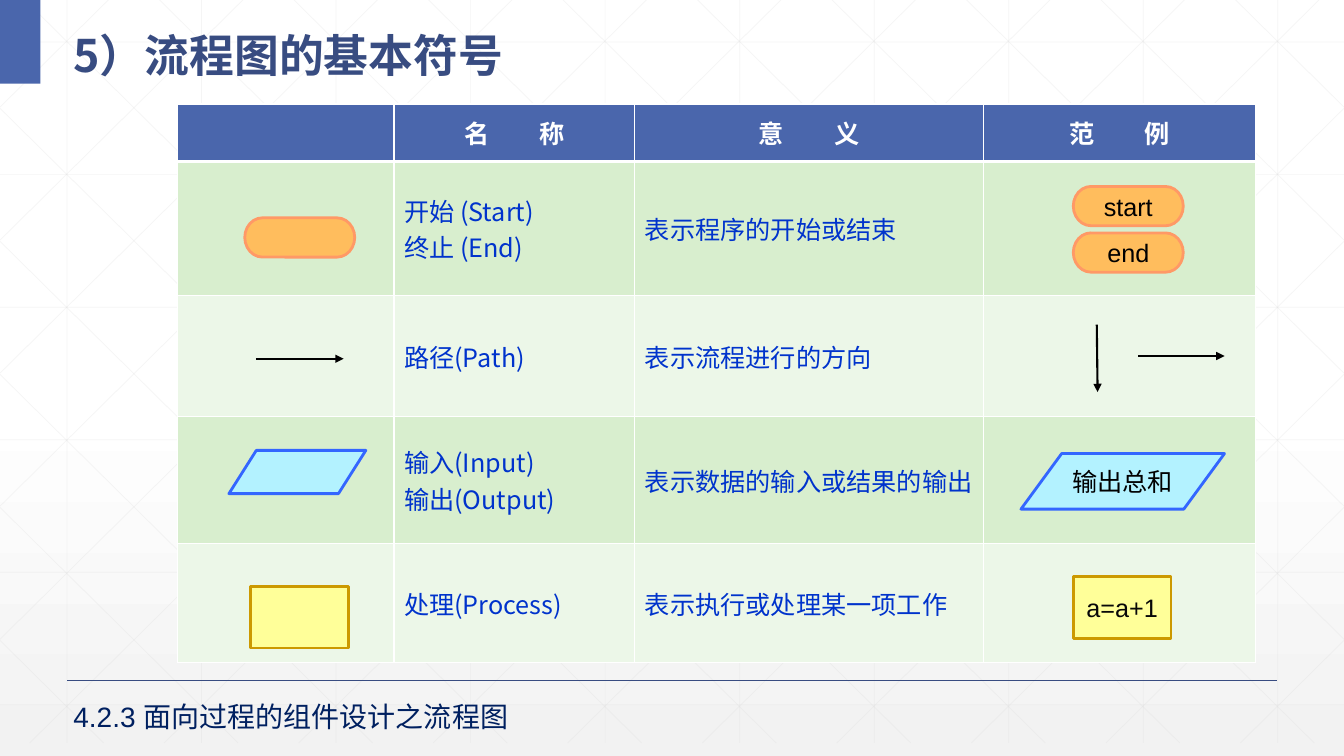
import dataclasses

import pptx
import pptx.dml.color
import pptx.enum.dml
import pptx.enum.shapes
import pptx.enum.text
import pptx.oxml
import pptx.oxml.ns
import pptx.util
from lxml import etree

Cm = pptx.util.Cm
Pt = pptx.util.Pt
qn = pptx.oxml.ns.qn
MSO_SHAPE = pptx.enum.shapes.MSO_SHAPE
PP_ALIGN = pptx.enum.text.PP_ALIGN
MIDDLE = pptx.enum.text.MSO_ANCHOR.MIDDLE


@dataclasses.dataclass(frozen=True)
class Theme:
    white: str = "FFFFFF"
    page_end: str = "F2F2F2"
    grid: str = "D9D9D9"
    accent: str = "4A66AC"
    title: str = "384C81"
    footer: str = "002060"
    ink: str = "000000"
    body: str = "0033CC"
    bands: tuple = ("D8EECE", "ECF7E8")
    cjk: str = "Noto Sans CJK SC"
    latin: str = "Arial"
    title_size: int = 32
    footer_size: int = 20
    body_size: int = 18


THEME = Theme()
WIDTH, HEIGHT = 33.87, 19.05

# Flowchart symbols: preset, fill, outline, text colour
TERMINATOR = (MSO_SHAPE.FLOWCHART_TERMINATOR, "FFBD5D", "FF9966", THEME.ink)
PROCESS = (MSO_SHAPE.FLOWCHART_PROCESS, "FFFF99", "CC9900", "080808")
DATA = (MSO_SHAPE.FLOWCHART_DATA, "B3F2FF", "3366FF", THEME.ink)

HEADERS = ("", "名称", "意义", "范例")
ROWS = (
    ("开始 (Start)\n终止 (End)", "表示程序的开始或结束"),
    ("路径(Path)", "表示流程进行的方向"),
    ("输入(Input)\v输出(Output)", "表示数据的输入或结果的输出"),
    ("处理(Process)", "表示执行或处理某一项工作"),
)
COLUMN_WIDTHS = (5.46, 6.07, 8.79, 6.86)
ROW_HEIGHTS = (1.45, 3.38, 3.05, 3.2, 3)


def rgb(value):
    return pptx.dml.color.RGBColor.from_string(value)


def style_text(frame, size, color, font, bold=False, align=None):
    for paragraph in frame.paragraphs:
        paragraph.alignment = align
        for run in paragraph.runs:
            run.font.size = Pt(size)
            run.font.bold = bold
            run.font.name = font
            run.font.color.rgb = rgb(color)
            east_asian = etree.SubElement(run.font._element, qn("a:ea"))
            east_asian.set("typeface", THEME.cjk)


def add_line(slide, start, end, color, width, opacity=None, arrow=False):
    line = slide.shapes.add_connector(
        pptx.enum.shapes.MSO_CONNECTOR.STRAIGHT, *map(Cm, start + end))
    line.line.color.rgb = rgb(color)
    line.line.width = Pt(width)
    properties = line._element.spPr
    if opacity:
        alpha = etree.SubElement(properties.find(".//" + qn("a:srgbClr")), qn("a:alpha"))
        alpha.set("val", str(opacity * 1000))
    if arrow:
        etree.SubElement(properties.find(qn("a:ln")), qn("a:tailEnd")).set("type", "triangle")
    etree.SubElement(properties, qn("a:effectLst"))


def add_arrow(slide, start, end):
    add_line(slide, start, end, THEME.ink, 1.5, arrow=True)


def add_symbol(slide, kind, box, label=""):
    preset, fill, outline, text_color = kind
    symbol = slide.shapes.add_shape(preset, *map(Cm, box))
    symbol.shadow.inherit = False
    symbol.fill.solid()
    symbol.fill.fore_color.rgb = rgb(fill)
    symbol.line.color.rgb = rgb(outline)
    symbol.line.width = Pt(2)
    if label:
        frame = symbol.text_frame
        frame.text = label
        frame.word_wrap = False
        frame.vertical_anchor = MIDDLE
        style_text(frame, THEME.body_size, text_color, THEME.latin, align=PP_ALIGN.CENTER)


def add_text(slide, box, text, size, color, font, bold=False, spacing=None):
    frame = slide.shapes.add_textbox(*map(Cm, box)).text_frame
    frame.word_wrap = True
    frame.vertical_anchor = MIDDLE
    frame.text = text
    frame.paragraphs[0].line_spacing = spacing
    style_text(frame, size, color, font, bold)


def add_background(slide):
    page = slide.background.fill
    page.gradient()
    page.gradient_angle = 270
    for stop, position, color in zip(page.gradient_stops, (0.53, 1),
                                     (THEME.white, THEME.page_end)):
        stop.position = position
        stop.color.rgb = rgb(color)


def add_grid(slide):
    bottom, step = 18.72, 3.39

    def grid_line(start, end):
        add_line(slide, start, end, THEME.grid, 0.5, opacity=25)

    for column in range(10):
        x = 1.69 + column * step
        grid_line((x, 0), (x, bottom))
    for row in range(6):
        y = 1.06 + row * 3.34
        grid_line((0, y), (WIDTH, y))
    # Diagonals cut at the page edges, each with its mirror image
    run = 18.93
    for column in range(-5, 10):
        top_x = 0.63 + column * step
        left, right = max(top_x, 0), min(top_x + run, WIDTH)
        upper, lower = ((x - top_x) * bottom / run for x in (left, right))
        grid_line((left, upper), (right, lower))
        grid_line((WIDTH - left, upper), (WIDTH - right, lower))


def fill_cell(cell, text, fill, top, bottom):
    properties = cell._tc.get_or_add_tcPr()
    for side, width in (("L", 1), ("R", 1), ("T", top), ("B", bottom)):
        border = etree.SubElement(properties, qn("a:ln" + side), w=str(Pt(width)))
        solid = etree.SubElement(border, qn("a:solidFill"))
        etree.SubElement(solid, qn("a:srgbClr"), val=THEME.white)
    cell.fill.solid()
    cell.fill.fore_color.rgb = rgb(fill)
    cell.vertical_anchor = MIDDLE
    cell.text = text


def add_symbol_table(slide):
    table = slide.shapes.add_table(
        len(ROW_HEIGHTS), len(COLUMN_WIDTHS), Cm(4.47), Cm(2.62),
        Cm(sum(COLUMN_WIDTHS)), Cm(sum(ROW_HEIGHTS))).table
    for column, width in zip(table.columns, COLUMN_WIDTHS):
        column.width = Cm(width)
    for row, height in zip(table.rows, ROW_HEIGHTS):
        row.height = Cm(height)
    # Header: the two characters are set apart by letter spacing
    for column, heading in enumerate(HEADERS):
        cell = table.cell(0, column)
        fill_cell(cell, heading[:1], THEME.accent, 1, 3)
        if heading:
            paragraph = cell.text_frame.paragraphs[0]
            paragraph.add_run().text = heading[1:]
            style_text(cell.text_frame, THEME.body_size, THEME.white, THEME.cjk,
                       True, PP_ALIGN.CENTER)
            paragraph.runs[0].font._element.set("spc", "3600")
    # Body rows in alternating bands
    for index, (name, meaning) in enumerate(ROWS):
        for column, text in enumerate(("", name, meaning, "")):
            cell = table.cell(index + 1, column)
            fill_cell(cell, text, THEME.bands[index % 2], 1 if index else 3, 1)
            style_text(cell.text_frame, THEME.body_size, THEME.body, THEME.cjk)


def main():
    deck = pptx.Presentation()
    deck.slide_width, deck.slide_height = Cm(WIDTH), Cm(HEIGHT)
    slide = deck.slides.add_slide(deck.slide_layouts[6])

    # Page decoration
    add_background(slide)
    add_grid(slide)
    add_line(slide, (1.69, 17.15), (32.18, 17.15), THEME.title, 1)
    corner = slide.shapes.add_shape(MSO_SHAPE.RECTANGLE, 0, 0, Cm(1.02), Cm(2.11))
    corner.shadow.inherit = False
    corner.fill.solid()
    corner.fill.fore_color.rgb = rgb(THEME.accent)
    corner.line.fill.background()

    # Title and table
    add_text(slide, (1.6, 0.25, 31.55, 1.85), "5）流程图的基本符号",
             THEME.title_size, THEME.title, THEME.cjk, True, 1.3)
    add_symbol_table(slide)

    # Symbols in the first column
    add_symbol(slide, TERMINATOR, (6.17, 5.49, 2.77, 0.99))
    add_arrow(slide, (6.45, 9.04), (8.66, 9.04))
    add_symbol(slide, DATA, (5.77, 11.35, 3.45, 1.09))
    add_symbol(slide, PROCESS, (6.32, 14.78, 2.46, 1.55))

    # Examples in the last column
    add_symbol(slide, TERMINATOR, (27.05, 4.7, 2.77, 0.99), "start")
    add_symbol(slide, TERMINATOR, (27.05, 5.87, 2.77, 0.99), "end")
    add_arrow(slide, (27.64, 8.18), (27.66, 9.88))
    add_arrow(slide, (28.68, 8.97), (30.86, 8.97))
    add_symbol(slide, DATA, (25.73, 11.43, 5.13, 1.4), "输出总和")
    add_symbol(slide, PROCESS, (27.05, 14.53, 2.46, 1.55), "a=a+1")

    # Section footer
    add_text(slide, (1.6, 17.48, 11.91, 1.12), "4.2.3 面向过程的组件设计之流程图",
             THEME.footer_size, THEME.footer, THEME.latin)
    deck.save("out.pptx")


if __name__ == "__main__":
    main()
